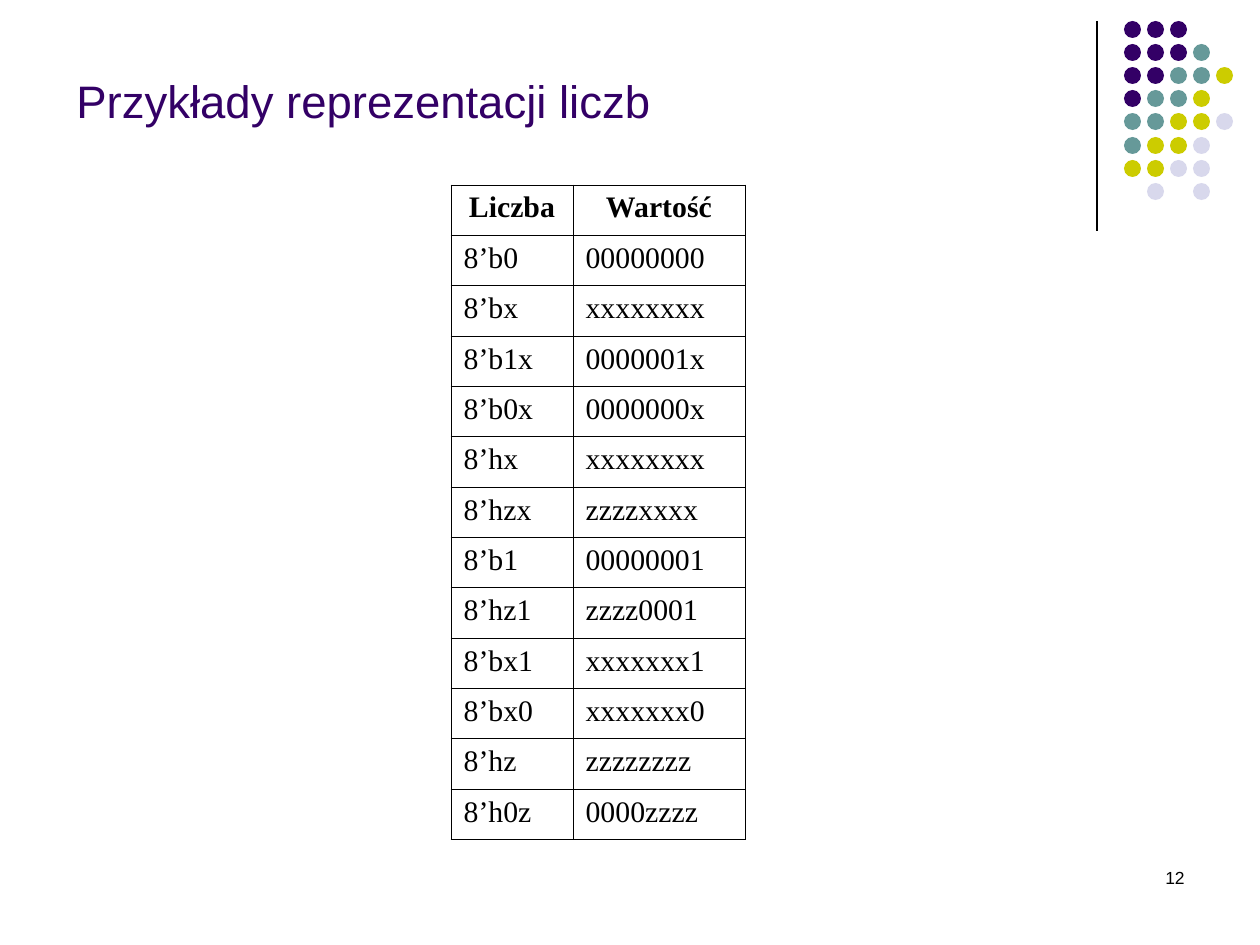
"""Builds a slide with a table of sized number literals and their values."""
import pptx
import pptx.dml.color
import pptx.enum.shapes
import pptx.enum.text
import pptx.oxml.ns
import pptx.util
from lxml import etree

ALIGN = pptx.enum.text.PP_ALIGN
ANCHOR = pptx.enum.text.MSO_ANCHOR
DOT_COLORS = {"P": "330066", "T": "669999", "Y": "CCCC00", "L": "D8D8EC"}
DOT_ROWS = ["PPP", "PPPT", "PPTTY", "PTTY", "TTYYL", "TYYL", "YYLL", " L L"]
NUMBERS = [
    ("Liczba", "Wartość"),
    ("8’b0", "00000000"),
    ("8’bx", "xxxxxxxx"),
    ("8’b1x", "0000001x"),
    ("8’b0x", "0000000x"),
    ("8’hx", "xxxxxxxx"),
    ("8’hzx", "zzzzxxxx"),
    ("8’b1", "00000001"),
    ("8’hz1", "zzzz0001"),
    ("8’bx1", "xxxxxxx1"),
    ("8’bx0", "xxxxxxx0"),
    ("8’hz", "zzzzzzzz"),
    ("8’h0z", "0000zzzz"),
]


def px(*lengths):
    return [pptx.util.Emu(round(n * 914400 / 126)) for n in lengths]


def rgb(color):
    return pptx.dml.color.RGBColor.from_string(color)


def write(tf, text, font="Arial", size=10, color="000000", bold=False, align=ALIGN.LEFT):
    p = tf.paragraphs[0]
    p.alignment = align
    r = p.add_run()
    r.text = text
    r.font.name = font
    r.font.size = pptx.util.Pt(size)
    r.font.bold = bold
    r.font.color.rgb = rgb(color)


class Deck:
    def __init__(self):
        self.ink = "000000"
        self.accent = "330066"
        self.table_font = "Times New Roman"
        self.prs = pptx.Presentation()
        self.prs.slide_width, self.prs.slide_height = px(1260, 945)
        self.slide = self.prs.slides.add_slide(self.prs.slide_layouts[6])

    def text(self, text, x, y, w, h, anchor=ANCHOR.TOP, **fmt):
        tf = self.slide.shapes.add_textbox(*px(x, y, w, h)).text_frame
        tf.word_wrap = True
        tf.vertical_anchor = anchor
        write(tf, text, **fmt)

    def line(self, x1, y1, x2, y2, width=0.75):
        kind = pptx.enum.shapes.MSO_CONNECTOR.STRAIGHT
        sp = self.slide.shapes.add_connector(kind, *px(x1, y1, x2, y2))
        sp.line.color.rgb = rgb(self.ink)
        sp.line.width = pptx.util.Pt(width)
        etree.SubElement(sp._element.spPr, pptx.oxml.ns.qn("a:effectLst"))

    def dot(self, x, y, size, color):
        kind = pptx.enum.shapes.MSO_SHAPE.OVAL
        sp = self.slide.shapes.add_shape(kind, *px(x, y, size, size))
        sp.shadow.inherit = False
        sp.fill.solid()
        sp.fill.fore_color.rgb = rgb(color)
        sp.line.fill.background()

    def border(self, cell, width=0.45):
        qn = pptx.oxml.ns.qn
        tc_pr = cell._tc.get_or_add_tcPr()
        for side in ("a:lnL", "a:lnR", "a:lnT", "a:lnB"):
            ln = etree.SubElement(tc_pr, qn(side), w=str(pptx.util.Pt(width)))
            fill = etree.SubElement(ln, qn("a:solidFill"))
            etree.SubElement(fill, qn("a:srgbClr"), val=self.ink)

    def table(self, rows, x, y, widths, h):
        frame = self.slide.shapes.add_table(len(rows), len(widths), *px(x, y, sum(widths), h))
        table = frame.table
        table.first_row = table.horz_banding = False
        for column, width in zip(table.columns, px(*widths)):
            column.width = width
        for i, row in enumerate(rows):
            header = i == 0
            for j, text in enumerate(row):
                cell = table.cell(i, j)
                self.border(cell)
                cell.fill.background()
                write(cell.text_frame, text, font=self.table_font, size=17, color=self.ink,
                      bold=header, align=ALIGN.CENTER if header else ALIGN.LEFT)


def main():
    deck = Deck()
    deck.line(1097, 21, 1097, 231)
    for i, row in enumerate(DOT_ROWS):
        for j, key in enumerate(row):
            if key in DOT_COLORS:
                deck.dot(1124 + j * 116 // 5, 21 + i * 116 // 5, 17, DOT_COLORS[key])
    deck.text("Przykłady reprezentacji liczb", 64, 56, 1134, 89,
              anchor=ANCHOR.MIDDLE, size=26, color=deck.accent)
    deck.table(NUMBERS, 451, 185, [122, 172], 655)
    deck.text("12", 903, 861, 294, 63, align=ALIGN.RIGHT)
    deck.prs.save("out.pptx")


if __name__ == "__main__":
    main()
